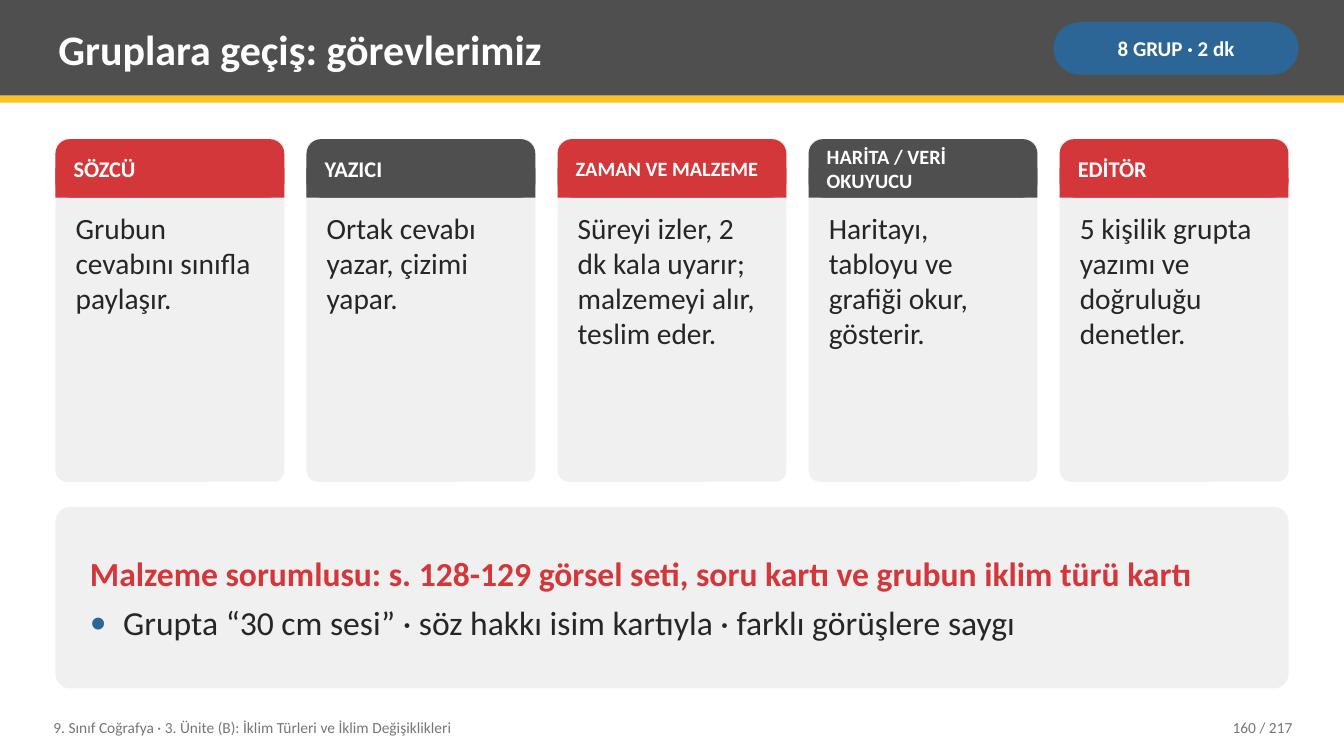
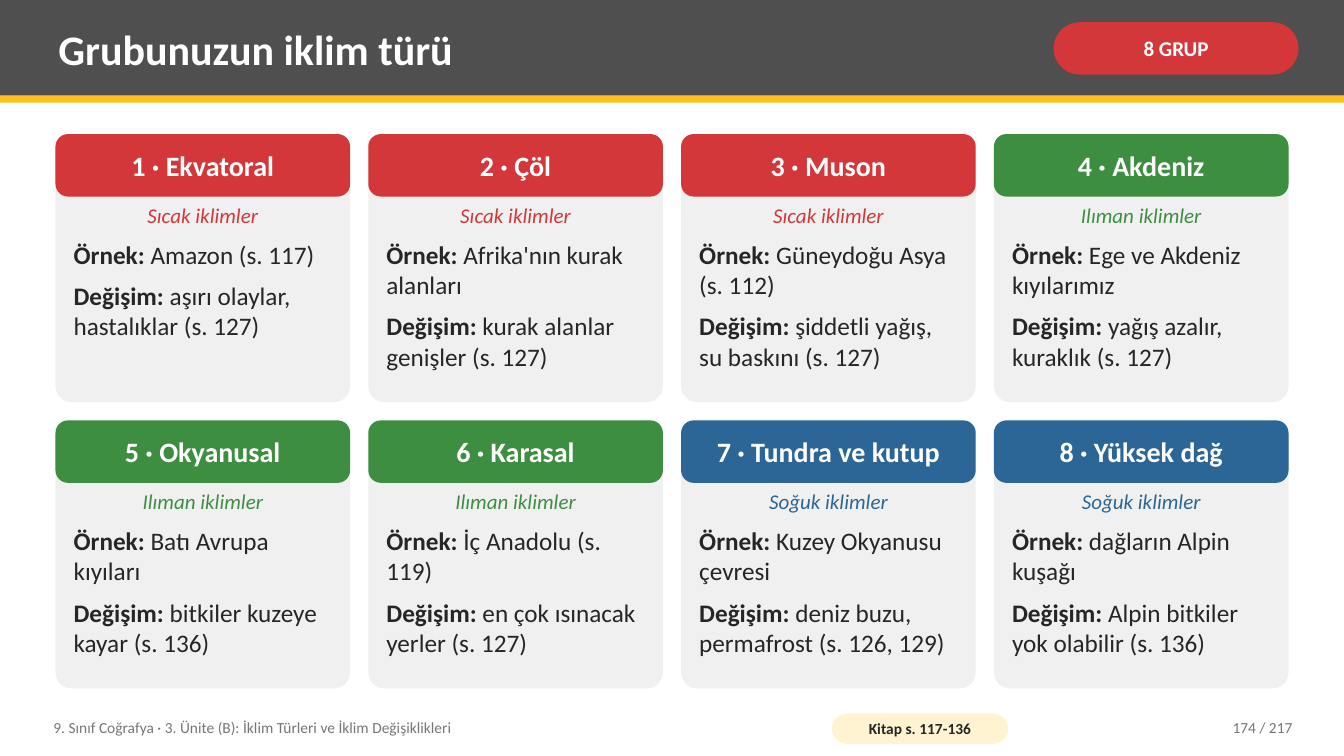
"""Build two geography lesson slides: group roles and climate types."""
from lxml.etree import SubElement
from pptx import Presentation
from pptx.dml.color import RGBColor
from pptx.enum.shapes import MSO_SHAPE as Shape
from pptx.enum.text import MSO_ANCHOR as Anchor, PP_ALIGN as Align
from pptx.oxml.ns import qn
from pptx.util import Inches, Pt

COLORS = {
    "dark": "4F4F4F", "yellow": "FCC021", "white": "FFFFFF", "red": "D3373A",
    "green": "3E8E41", "blue": "2C6696", "panel": "F0F0F0", "ink": "262626",
    "muted": "767676", "cream": "FFF3D1",
}
FONT = "Calibri"
LEFT, CONTENT_WIDTH = 0.55, 12.23
INSETS = (0.08, 0.04)
COURSE = "9. Sınıf Coğrafya · 3. Ünite (B): İklim Türleri ve İklim Değişiklikleri"
TOTAL = 217


class Deck:
    def __init__(self):
        self.presentation = Presentation()
        self.presentation.slide_width = Inches(13.33)
        self.presentation.slide_height = Inches(7.5)
        self.slide = None

    def box(self, left, top, width, height, color, rounding=None):
        kind = Shape.RECTANGLE if rounding is None else Shape.ROUNDED_RECTANGLE
        shape = self.slide.shapes.add_shape(
            kind, Inches(left), Inches(top), Inches(width), Inches(height))
        if rounding is not None:
            shape.adjustments[0] = rounding
        shape.shadow.inherit = False
        shape.fill.solid()
        shape.fill.fore_color.rgb = RGBColor.from_string(COLORS[color])
        shape.line.fill.background()
        return shape

    def frame(self, shape, insets=INSETS, anchor=Anchor.MIDDLE):
        frame = shape.text_frame
        frame.word_wrap = True
        frame.vertical_anchor = anchor
        frame.margin_left = frame.margin_right = Inches(insets[0])
        frame.margin_top = frame.margin_bottom = Inches(insets[1])
        return frame

    def text_box(self, left, top, width, height, anchor=Anchor.MIDDLE):
        shape = self.slide.shapes.add_textbox(
            Inches(left), Inches(top), Inches(width), Inches(height))
        return self.frame(shape, anchor=anchor)

    def paragraph(self, frame, text, size, color, bold=False, italic=False,
                  align=Align.LEFT, after=0, label="", bullet=None):
        paragraph = frame.paragraphs[0]
        if paragraph.runs:
            paragraph = frame.add_paragraph()
        paragraph.alignment = align
        paragraph.space_after = Pt(after)
        if bullet:
            self.bullet(paragraph, bullet)
        font = paragraph.font
        font.name, font.size = FONT, Pt(size)
        font.bold, font.italic = bold, italic
        font.color.rgb = RGBColor.from_string(COLORS[color])
        if label:
            run = paragraph.add_run()
            run.text = label
            run.font.bold = True
        paragraph.add_run().text = text

    def bullet(self, paragraph, color):
        properties = paragraph._p.get_or_add_pPr()
        indent = Inches(0.33)
        properties.set("marL", str(indent))
        properties.set("indent", str(-indent))
        bullet_color = SubElement(properties, qn("a:buClr"))
        SubElement(bullet_color, qn("a:srgbClr"), val=COLORS[color])
        SubElement(properties, qn("a:buFont"), typeface=FONT)
        SubElement(properties, qn("a:buChar"), char="•")

    def pill(self, left, top, width, height, color, text, size, text_color, insets):
        shape = self.box(left, top, width, height, color, 0.5)
        self.paragraph(self.frame(shape, insets), text, size, text_color,
                       bold=True, align=Align.CENTER)

    def new_slide(self, title, badge, badge_color):
        self.slide = self.presentation.slides.add_slide(
            self.presentation.slide_layouts[6])
        self.box(0, 0, 13.33, 0.95, "dark")
        self.box(0, 0.95, 13.33, 0.07, "yellow")
        self.paragraph(self.text_box(0.5, 0.07, 9.75, 0.82), title, 30, "white", bold=True)
        self.pill(10.45, 0.22, 2.43, 0.52, badge_color, badge, 15, "white", (0.05, 0.02))

    def footer(self, number, pages=None):
        self.paragraph(self.text_box(0.45, 7.04, 7.6, 0.36), COURSE, 11, "muted")
        if pages:
            self.pill(8.25, 7.08, 1.75, 0.3, "cream", pages, 11, "ink", (0.04, 0))
        self.paragraph(self.text_box(11.3, 7.04, 1.6, 0.36), f"{number} / {TOTAL}",
                       11, "muted", align=Align.RIGHT)

    def role_card(self, left, width, color, role, size, duty):
        top, header = 1.38, 0.58
        self.box(left, top, width, 3.4, "panel", 0.05)
        self.box(left, top, width, header, color, 0.25)
        self.box(left, top + header / 2, width, header / 2, color)
        self.paragraph(self.text_box(left + 0.1, top, width - 0.2, header),
                       role, size, "white", bold=True)
        body = self.text_box(left + 0.12, top + 0.66, width - 0.24, 2.66, Anchor.TOP)
        self.paragraph(body, duty, 21, "ink")

    def climate_card(self, left, top, width, color, name, group, example, change):
        self.box(left, top, width, 2.66, "panel", 0.06)
        header = self.box(left, top, width, 0.62, color, 0.2)
        self.paragraph(self.frame(header, (0.14, 0.08)), name, 20, "white",
                       bold=True, align=Align.CENTER)
        inner_left, inner_width = left + 0.1, width - 0.2
        caption = self.text_box(inner_left, top + 0.64, inner_width, 0.36, Anchor.TOP)
        self.paragraph(caption, group, 15, color, italic=True, align=Align.CENTER)
        body = self.text_box(inner_left, top + 1, inner_width, 1.61, Anchor.TOP)
        self.paragraph(body, f" {example}", 18, "ink", after=8, label="Örnek:")
        self.paragraph(body, f" {change}", 18, "ink", label="Değişim:")


def columns(count, gap):
    width = (CONTENT_WIDTH - gap * (count - 1)) / count
    return width, [LEFT + index * (width + gap) for index in range(count)]


ROLES = [
    ("SÖZCÜ", 16, "Grubun cevabını sınıfla paylaşır."),
    ("YAZICI", 16, "Ortak cevabı yazar, çizimi yapar."),
    ("ZAMAN VE MALZEME", 14.5,
     "Süreyi izler, 2 dk kala uyarır; malzemeyi alır, teslim eder."),
    ("HARİTA / VERİ OKUYUCU", 14.5, "Haritayı, tabloyu ve grafiği okur, gösterir."),
    ("EDİTÖR", 16, "5 kişilik grupta yazımı ve doğruluğu denetler."),
]
GROUPS = {"red": "Sıcak iklimler", "green": "Ilıman iklimler", "blue": "Soğuk iklimler"}
CLIMATES = [
    ("red", "Ekvatoral", "Amazon (s. 117)", "aşırı olaylar, hastalıklar (s. 127)"),
    ("red", "Çöl", "Afrika'nın kurak alanları", "kurak alanlar genişler (s. 127)"),
    ("red", "Muson", "Güneydoğu Asya (s. 112)", "şiddetli yağış, su baskını (s. 127)"),
    ("green", "Akdeniz", "Ege ve Akdeniz kıyılarımız", "yağış azalır, kuraklık (s. 127)"),
    ("green", "Okyanusal", "Batı Avrupa kıyıları", "bitkiler kuzeye kayar (s. 136)"),
    ("green", "Karasal", "İç Anadolu (s. 119)", "en çok ısınacak yerler (s. 127)"),
    ("blue", "Tundra ve kutup", "Kuzey Okyanusu çevresi",
     "deniz buzu, permafrost (s. 126, 129)"),
    ("blue", "Yüksek dağ", "dağların Alpin kuşağı", "Alpin bitkiler yok olabilir (s. 136)"),
]


def roles_slide(deck):
    deck.new_slide("Gruplara geçiş: görevlerimiz", "8 GRUP · 2 dk", "blue")
    width, lefts = columns(len(ROLES), 0.22)
    for index, (left, role) in enumerate(zip(lefts, ROLES)):
        deck.role_card(left, width, ("red", "dark")[index % 2], *role)
    panel = deck.box(LEFT, 5.03, CONTENT_WIDTH, 1.8, "panel", 0.08)
    notice = deck.frame(panel, (0.3, 0.08))
    deck.paragraph(
        notice, "Malzeme sorumlusu: s. 128-129 görsel seti, soru kartı ve grubun iklim türü kartı",
        24, "red", bold=True, after=6)
    deck.paragraph(
        notice, "Grupta “30 cm sesi” · söz hakkı isim kartıyla · farklı görüşlere saygı",
        24, "ink", bullet="blue")
    deck.footer(160)


def climates_slide(deck):
    deck.new_slide("Grubunuzun iklim türü", "8 GRUP", "red")
    width, lefts = columns(4, 0.18)
    for index, (color, name, example, change) in enumerate(CLIMATES):
        row, column = divmod(index, 4)
        deck.climate_card(lefts[column], 1.33 + row * 2.84, width, color,
                          f"{index + 1} · {name}", GROUPS[color], example, change)
    deck.footer(174, "Kitap s. 117-136")


def main():
    deck = Deck()
    roles_slide(deck)
    climates_slide(deck)
    deck.presentation.save("out.pptx")


if __name__ == "__main__":
    main()
